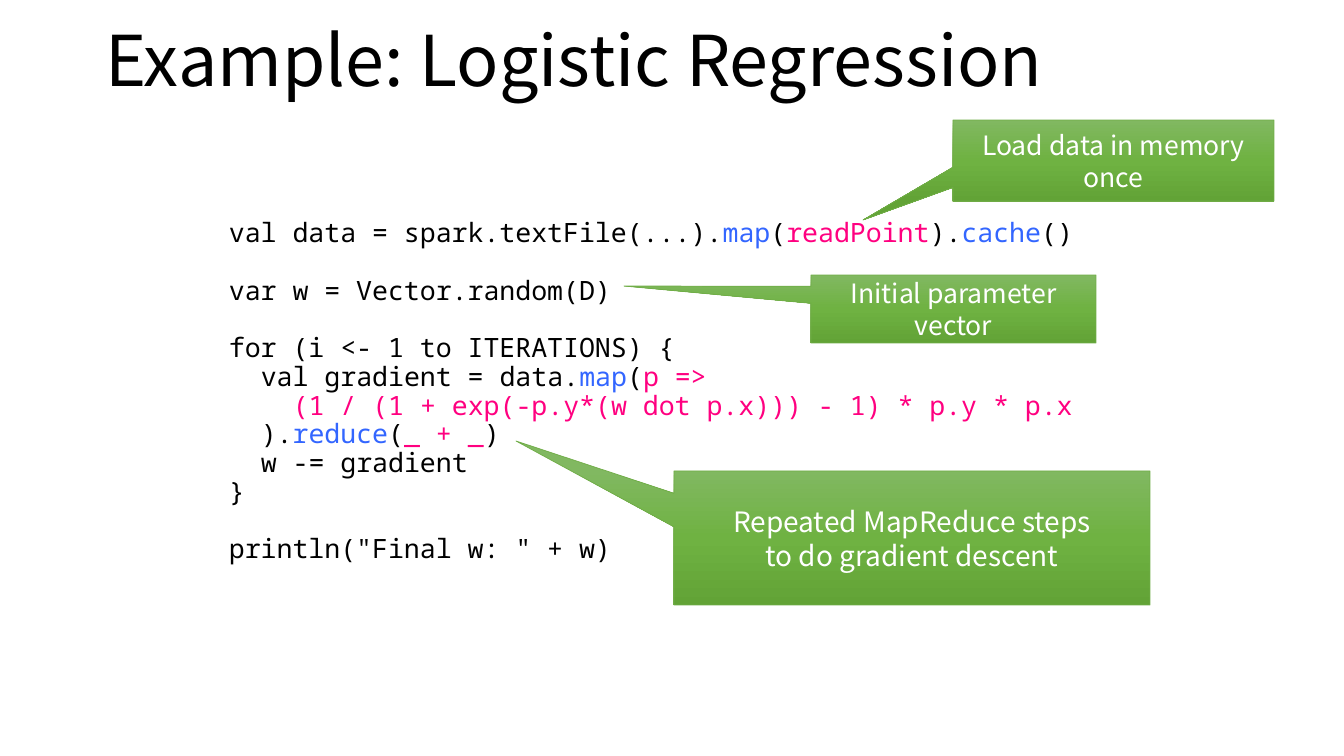
"""Build the logistic regression code slide with its three callouts."""
import copy
from typing import NamedTuple

import pptx
import pptx.dml.color
import pptx.enum.shapes
import pptx.enum.text
import pptx.oxml.ns
import pptx.util

PX = 914400 / 100.8
SANS, MONO = "Noto Sans CJK SC", "Noto Sans Mono"
BLACK, BLUE, PINK, WHITE = "000000", "3366FF", "FF0080", "FFFFFF"
GREEN_LINE = "70AD47"
GREEN_STOPS = [(0, "81B861"), (0.5, "6FB242"), (1, "62A336")]
CODE_PT = 19
LINE_SPACING = 0.9
CHAR_PT = 0.6 * CODE_PT
BLANK_LINE_PT = 20.5


class Span(NamedTuple):
    text: str
    colour: str = BLACK


class CodeLine(NamedTuple):
    spans: list[Span]
    indent: int = 0
    gap: bool = False


class Callout(NamedTuple):
    text: str
    left: int
    top: int
    width: int
    height: int
    tip_x: int
    tip_y: int
    size: int


CODE = [
    CodeLine([Span("val data = spark.textFile(...)."), Span("map", BLUE), Span("("),
              Span("readPoint", PINK), Span(")."), Span("cache", BLUE), Span("()")]),
    CodeLine([Span("var w = Vector.random(D)")], gap=True),
    CodeLine([Span("for (i <- 1 to ITERATIONS) {")], gap=True),
    CodeLine([Span("val gradient = data."), Span("map", BLUE), Span("("),
              Span("p =>", PINK)], indent=2),
    CodeLine([Span("(1 / (1 + exp(-p.y*(w dot p.x))) - 1) * p.y * p.x", PINK)], indent=4),
    CodeLine([Span(")."), Span("reduce", BLUE), Span("("), Span("_ + _", PINK),
              Span(")")], indent=2),
    CodeLine([Span("w -= gradient")], indent=2),
    CodeLine([Span("}")]),
    CodeLine([Span('println("Final w: " + w)')], gap=True),
]

CALLOUTS = [
    Callout("Initial parameter vector", 811, 275, 285, 68, 624, 286, 19),
    Callout("Repeated MapReduce steps\vto do gradient descent",
            674, 471, 476, 134, 516, 441, 20),
    Callout("Load data in memory once", 953, 120, 321, 81, 863, 220, 19),
]


def px(value: float) -> int:
    return round(value * PX)


def rgb(colour: str) -> pptx.dml.color.RGBColor:
    return pptx.dml.color.RGBColor.from_string(colour)


def set_font(font, name: str, size: int, colour: str) -> None:
    font.name = name
    font.size = pptx.util.Pt(size)
    font.color.rgb = rgb(colour)


def add_title(slide, text: str) -> None:
    sp = slide.shapes.title
    sp.left, sp.top, sp.width, sp.height = px(95), px(14), px(1159), px(99)
    tf = sp.text_frame
    tf.text = text
    tf.auto_size = pptx.enum.text.MSO_AUTO_SIZE.NONE
    tf.vertical_anchor = pptx.enum.text.MSO_ANCHOR.MIDDLE
    p = tf.paragraphs[0]
    p.alignment = pptx.enum.text.PP_ALIGN.LEFT
    p.line_spacing = LINE_SPACING
    set_font(p.font, SANS, 50, BLACK)


def add_code(slide, lines: list[CodeLine]) -> None:
    tf = slide.shapes.add_textbox(px(219), px(215), px(907), px(466)).text_frame
    tf.word_wrap = True
    for i, line in enumerate(lines):
        p = tf.add_paragraph() if i else tf.paragraphs[0]
        p.line_spacing = LINE_SPACING
        p.space_before = pptx.util.Pt(BLANK_LINE_PT if line.gap else 0)
        margin = pptx.util.Pt(line.indent * CHAR_PT)
        p._p.get_or_add_pPr().set("marL", str(int(margin)))
        for span in line.spans:
            r = p.add_run()
            r.text = span.text
            set_font(r.font, MONO, CODE_PT, span.colour)


def fill_green(sp) -> None:
    sp.fill.gradient()
    sp.fill.gradient_angle = 270
    stop_list = sp._element.spPr.find(".//" + pptx.oxml.ns.qn("a:gsLst"))
    stop_list.append(copy.deepcopy(stop_list[0]))
    for stop, (position, colour) in zip(sp.fill.gradient_stops, GREEN_STOPS):
        stop.position = position
        stop.color.rgb = rgb(colour)


def add_callout(slide, c: Callout) -> None:
    sp = slide.shapes.add_shape(
        pptx.enum.shapes.MSO_SHAPE.RECTANGULAR_CALLOUT,
        px(c.left), px(c.top), px(c.width), px(c.height))
    sp.adjustments[0] = (c.tip_x - c.left) / c.width - 0.5
    sp.adjustments[1] = (c.tip_y - c.top) / c.height - 0.5
    sp.shadow.inherit = False
    fill_green(sp)
    sp.line.color.rgb = rgb(GREEN_LINE)
    sp.line.width = pptx.util.Pt(0.5)
    tf = sp.text_frame
    tf.word_wrap = True
    tf.vertical_anchor = pptx.enum.text.MSO_ANCHOR.MIDDLE
    p = tf.paragraphs[0]
    p.text = c.text
    p.alignment = pptx.enum.text.PP_ALIGN.CENTER
    set_font(p.font, SANS, c.size, WHITE)


def main() -> None:
    prs = pptx.Presentation()
    prs.slide_width, prs.slide_height = px(1344), px(756)
    slide = prs.slides.add_slide(prs.slide_layouts.get_by_name("Title Only"))
    add_title(slide, "Example: Logistic Regression")
    add_code(slide, CODE)
    for callout in CALLOUTS:
        add_callout(slide, callout)
    prs.save("out.pptx")


if __name__ == "__main__":
    main()
